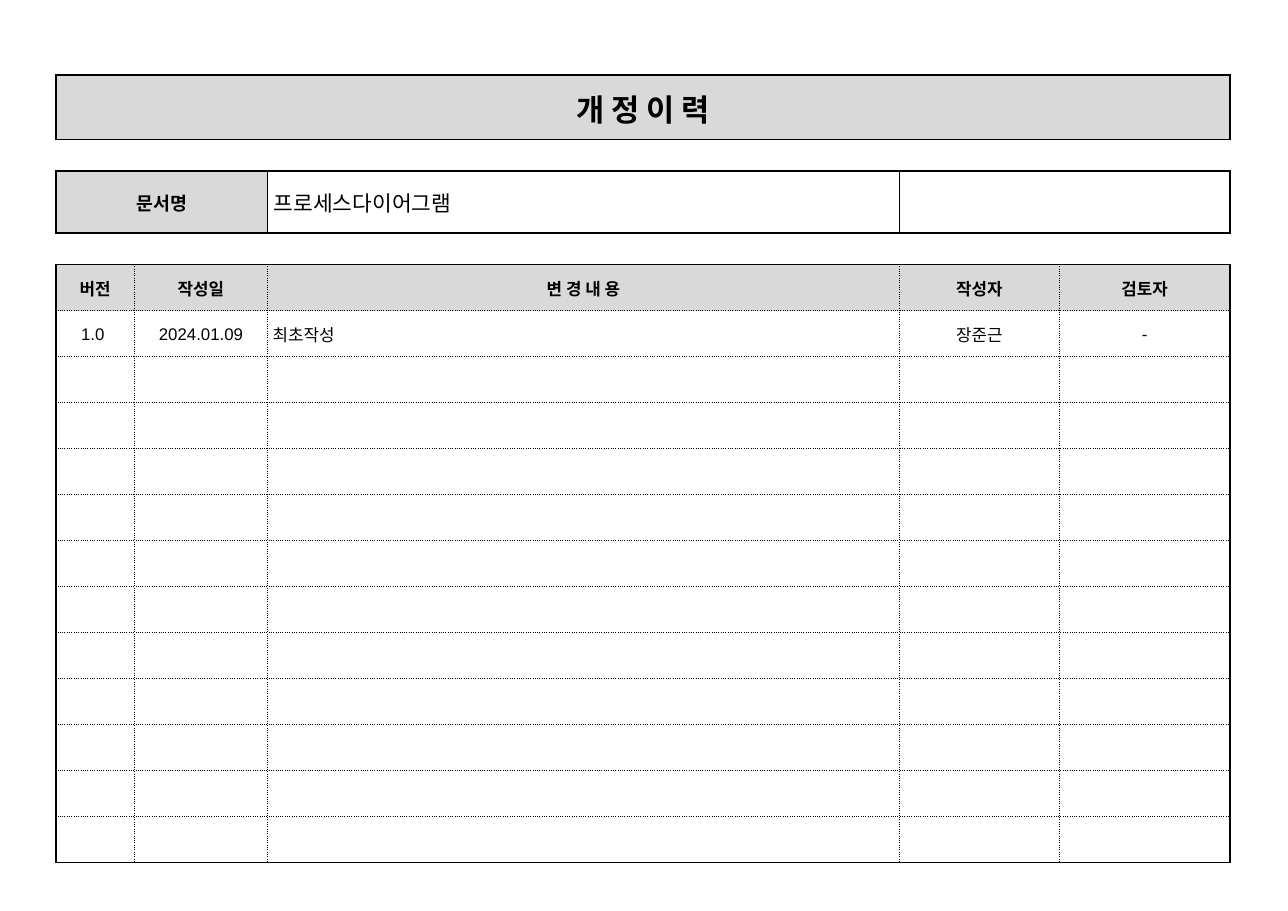
from itertools import product

from lxml.etree import SubElement
from pptx import Presentation
from pptx.dml.color import RGBColor
from pptx.enum.text import MSO_ANCHOR, PP_ALIGN
from pptx.oxml.ns import qn
from pptx.util import Cm, Pt

COLS = [1.81, 3.07, 14.57, 3.69, 3.93]
ROWS = [1.48, 0.73, 1.43, 0.73] + [1.06] * 13
LAST = len(ROWS) - 1
HEADS = ["버전", "작성일", "변 경 내 용", "작성자", "검토자"]
ENTRY = ["1.0 ", "2024.01.09", " 최초작성", "장준근", "-"]
PLAIN = "{2D5ABB26-0587-4C30-8999-92F81FD0307C}"  # no style, no grid


def color(code):
    return RGBColor.from_string(code)


class Sheet:
    """Holds the style, the slide and its revision table."""
    ink, gray = "000000", "D9D9D9"
    base = {"name": "Arial", "size": Pt(11), "bold": False}
    inset = {"margin_left": Cm(0.03), "margin_right": Cm(0.03),
             "margin_top": Cm(0.03), "margin_bottom": 0,
             "vertical_anchor": MSO_ANCHOR.MIDDLE}

    def __init__(self, deck):
        self.slide = deck.slides.add_slide(deck.slide_layouts[6])

    def grid(self, left, top, cols, rows):
        frame = self.slide.shapes.add_table(
            len(rows), len(cols), Cm(left), Cm(top),
            Cm(sum(cols)), Cm(sum(rows)))
        self.table = frame.table
        self.table.first_row = self.table.horz_banding = False
        frame._element.find(".//" + qn("a:tableStyleId")).text = PLAIN
        for col, width in zip(self.table.columns, cols):
            col.width = Cm(width)
        for row, height in zip(self.table.rows, rows):
            row.height = Cm(height)
        for cell in self.table.iter_cells():
            for key, value in self.inset.items():
                setattr(cell, key, value)
            # Small empty lines keep the rows at their set height
            para = cell.text_frame.paragraphs[0]._p
            SubElement(para, qn("a:endParaRPr"), sz="1100")

    def line(self, cell, side, width, dash):
        edge = SubElement(cell._tc.get_or_add_tcPr(), qn("a:ln" + side),
                          w=str(Pt(width)))
        fill = SubElement(edge, qn("a:solidFill"))
        SubElement(fill, qn("a:srgbClr"), val=self.ink)
        SubElement(edge, qn("a:prstDash"), val=dash)

    def box(self, top, left, low, right, inner=None):
        """Solid outline around a block of cells, with optional inner lines."""
        for row, col in product(range(top, low + 1), range(left, right + 1)):
            outer = {"L": col == left, "R": col == right,
                     "T": row == top, "B": row == low}
            for side, edge in outer.items():
                style = (1, "solid") if edge else inner
                if style:
                    self.line(self.table.cell(row, col), side, *style)

    def text(self, row, col, words, align=PP_ALIGN.CENTER, fill=None, **style):
        cell = self.table.cell(row, col)
        if fill:
            cell.fill.solid()
            cell.fill.fore_color.rgb = color(fill)
        para = cell.text_frame.paragraphs[0]
        para.alignment = align
        run = para.add_run()
        run.text = words
        run.font.color.rgb = color(self.ink)
        for key, value in {**self.base, **style}.items():
            setattr(run.font, key, value)

    def merge(self, row, left, right):
        self.table.cell(row, left).merge(self.table.cell(row, right))
        self.box(row, left, row, right, (1, "solid"))


def main():
    deck = Presentation()
    deck.slide_width, deck.slide_height = Cm(29.7), Cm(21)
    sheet = Sheet(deck)
    sheet.grid(1.29, 1.73, COLS, ROWS)

    # Title bar
    sheet.merge(0, 0, 4)
    sheet.text(0, 0, "개 정 이 력", fill=sheet.gray, size=Pt(20), bold=True)

    # Document name
    sheet.merge(2, 0, 1)
    sheet.box(2, 2, 2, 4)
    sheet.text(2, 0, "문서명", fill=sheet.gray, size=Pt(12), bold=True)
    sheet.text(2, 2, " 프로세스다이어그램", PP_ALIGN.LEFT, size=Pt(14))

    # Revision list
    sheet.box(4, 0, LAST, 4, (0.5, "dot"))
    for col, (head, entry) in enumerate(zip(HEADS, ENTRY)):
        sheet.text(4, col, head, fill=sheet.gray, bold=True)
        align = PP_ALIGN.LEFT if col == 2 else PP_ALIGN.CENTER
        sheet.text(5, col, entry, align)

    deck.save("out.pptx")


if __name__ == "__main__":
    main()
